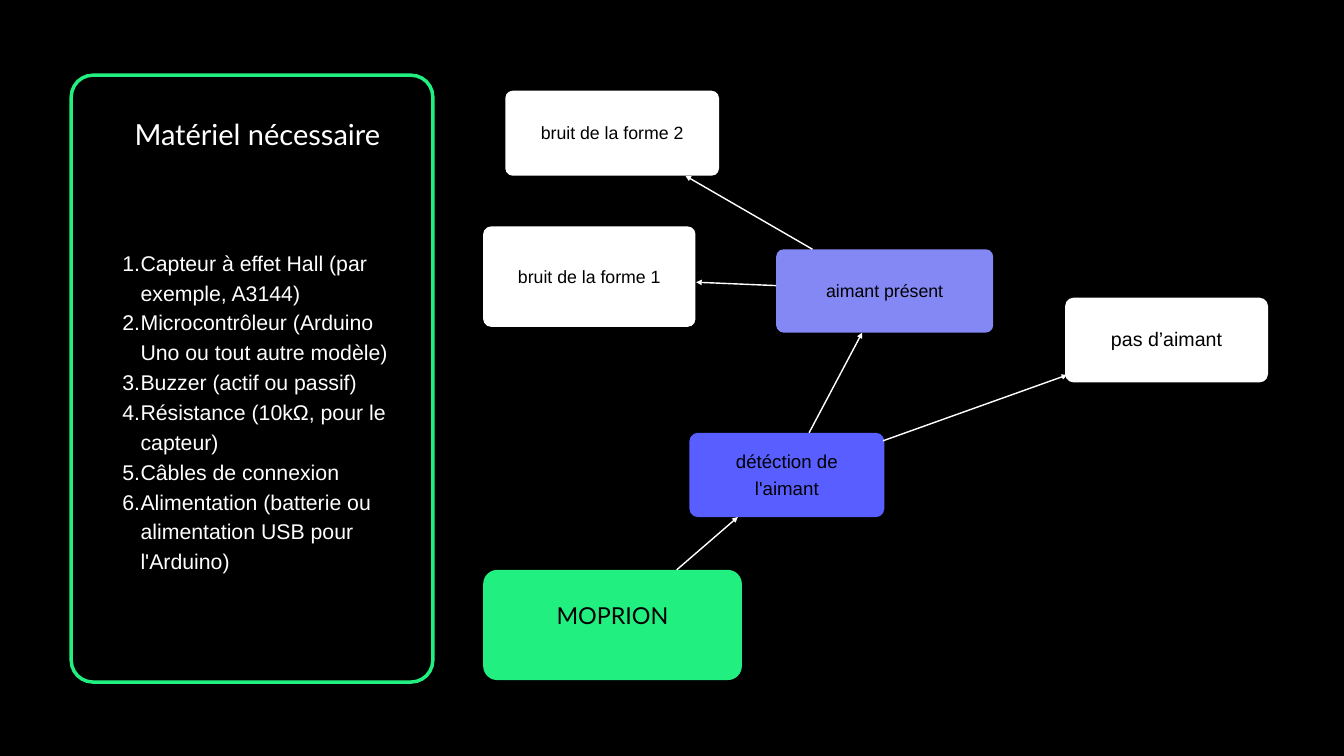
from lxml import etree
from pptx import Presentation
from pptx.dml.color import RGBColor
from pptx.enum import shapes, text
from pptx.oxml import ns
from pptx.util import Pt

BLACK, WHITE, GREEN = "000000", "FFFFFF", "21EF80"
BLUE, VIOLET = "585EFF", "8488F4"

STEPS = [
    ("MOPRION", (517.7, 610.6, 277.2, 118.1), 15, GREEN, 25, "Lato", 26),
    ("détéction de l'aimant", (738.7, 463.7, 208.8, 90.4), 9, BLUE, 20, "Arial", 5),
    ("pas d’aimant", (1141.2, 319, 217.4, 90.7), 9, WHITE, 21, "Arial", 8),
    ("aimant présent", (831.6, 267.1, 232.6, 89.3), 8, VIOLET, 19, "Arial", 4.5),
    ("bruit de la forme 1", (517.7, 242.6, 227.5, 107.6), 8.5, WHITE, 19, "Arial", 4.5),
    ("bruit de la forme 2", (541.4, 97.2, 229, 91.1), 8, WHITE, 19, "Arial", 4.5),
]

ARROWS = [
    ((725, 610.6), (790.6, 553.9)),
    ((946.1, 472.3), (1143.4, 401.8)),
    ((866.9, 463.7), (923.8, 356.4)),
    ((831.6, 306), (745.9, 302.4)),
    ((870.5, 267.1), (734.4, 188.4)),
]

MATERIALS = [
    "Capteur à effet Hall (par exemple, A3144)",
    "Microcontrôleur (Arduino Uno ou tout autre modèle)",
    "Buzzer (actif ou passif)",
    "Résistance (10kΩ, pour le capteur)",
    "Câbles de connexion",
    "Alimentation (batterie ou alimentation USB pour l'Arduino)",
]


def paint(color_holder, color):
    color_holder.solid()
    color_holder.fore_color.rgb = RGBColor.from_string(color)


def set_frame(frame, anchor, left=0, top=0, right=0, bottom=0):
    frame.word_wrap = True
    frame.auto_size = text.MSO_AUTO_SIZE.NONE
    frame.vertical_anchor = anchor
    frame.margin_left, frame.margin_top = Pt(left), Pt(top)
    frame.margin_right, frame.margin_bottom = Pt(right), Pt(bottom)


def write(paragraph, words, size, font, color, spacing, align):
    paragraph.alignment = align
    paragraph.line_spacing = Pt(spacing)
    run = paragraph.add_run()
    run.text = words
    run.font.size = Pt(size)
    run.font.name = font
    run.font.bold = False
    paint(run.font.fill, color)


def add_rounded(slide, place, radius, color):
    rounded = slide.shapes.add_shape(
        shapes.MSO_SHAPE.ROUNDED_RECTANGLE, *map(Pt, place))
    rounded.adjustments[0] = radius / min(place[2:])
    rounded.shadow.inherit = False
    paint(rounded.fill, color)
    rounded.line.fill.background()
    return rounded


def add_step(slide, words, place, radius, color, size, font, lift):
    step = add_rounded(slide, place, radius, color)
    set_frame(step.text_frame, text.MSO_ANCHOR.MIDDLE, 18, 0, 18, lift)
    write(step.text_frame.paragraphs[0], words, size, font, BLACK,
          size * 1.4, text.PP_ALIGN.CENTER)


def add_arrow(slide, start, end):
    arrow = slide.shapes.add_connector(
        shapes.MSO_CONNECTOR.STRAIGHT, *map(Pt, start + end))
    paint(arrow.line.fill, WHITE)
    arrow.line.width = Pt(1.5)
    etree.SubElement(arrow.line._get_or_add_ln(), ns.qn("a:tailEnd"), type="triangle")
    etree.SubElement(arrow._element.spPr, ns.qn("a:effectLst"))


def add_panel(slide):
    panel = add_rounded(slide, (76.3, 80.6, 387.4, 650.2), 23.3, BLACK)
    paint(panel.line.fill, GREEN)
    panel.line.width = Pt(3.75)


def set_title(slide, words):
    title = slide.shapes.title
    title.left, title.top = Pt(111.6), Pt(124.6)
    title.width, title.height = Pt(328.3), Pt(74.9)
    set_frame(title.text_frame, text.MSO_ANCHOR.TOP)
    write(title.text_frame.paragraphs[0], words, 31.1, "Lato", WHITE, 37.4,
          text.PP_ALIGN.CENTER)
    slide.shapes._spTree.append(title._element)


def add_numbered_list(slide, items):
    box = slide.shapes.add_textbox(Pt(111.6), Pt(263.1), Pt(328.3), Pt(406.5))
    frame = box.text_frame
    set_frame(frame, text.MSO_ANCHOR.TOP)
    for index, item in enumerate(items):
        paragraph = frame.add_paragraph() if index else frame.paragraphs[0]
        write(paragraph, item, 22.8, "Arial", WHITE, 32, text.PP_ALIGN.LEFT)
        properties = paragraph._p.get_or_add_pPr()
        properties.set("marL", str(Pt(39)))
        properties.set("indent", str(Pt(-19.5)))
        etree.SubElement(properties, ns.qn("a:buAutoNum"), type="arabicPeriod")


def main():
    deck = Presentation()
    deck.slide_width, deck.slide_height = Pt(1440), Pt(810)
    slide = deck.slides.add_slide(deck.slide_layouts.get_by_name("Title Only"))
    paint(slide.background.fill, BLACK)
    for step in STEPS:
        add_step(slide, *step)
    for start, end in ARROWS:
        add_arrow(slide, start, end)
    add_panel(slide)
    set_title(slide, "Matériel nécessaire")
    add_numbered_list(slide, MATERIALS)
    deck.save("out.pptx")


if __name__ == "__main__":
    main()
